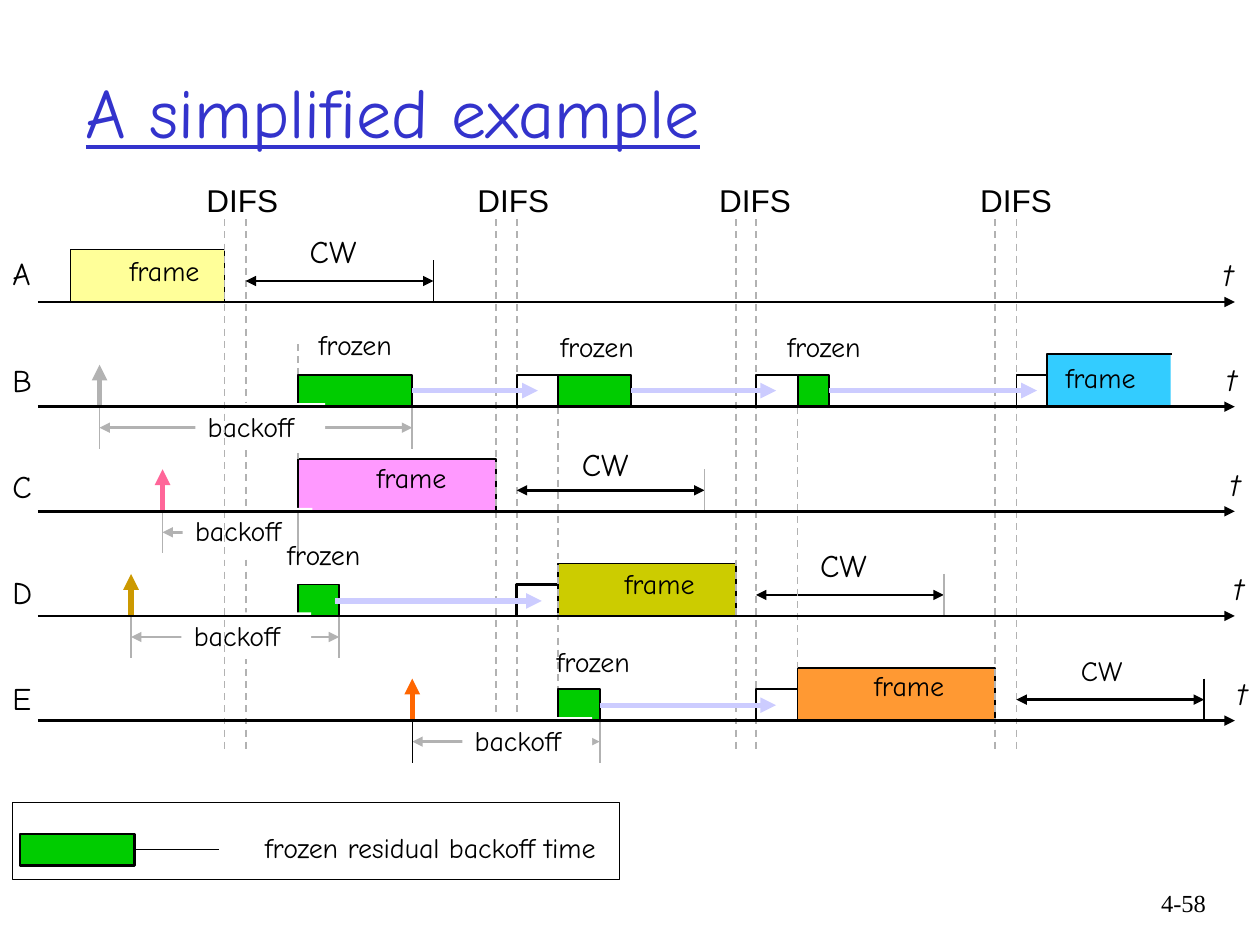
from lxml.etree import SubElement
from pptx import Presentation
from pptx.dml.color import RGBColor
from pptx.enum.dml import MSO_LINE_DASH_STYLE as DASH
from pptx.enum.shapes import MSO_CONNECTOR as CONN, MSO_SHAPE as SHAPE
from pptx.enum.text import MSO_ANCHOR as ANCHOR, PP_ALIGN as ALIGN
from pptx.oxml.ns import qn
from pptx.util import Pt

COLORS = {
    "title": "3333CC", "black": "000000", "white": "FFFFFF", "gray": "B2B2B2",
    "green": "00CC00", "lavender": "CCCCFF", "yellow": "FFFF99",
    "cyan": "33CCFF", "pink": "FF99FF", "olive": "CCCC00", "orange": "FF9933",
    "rose": "FF6699", "gold": "CC9900", "red": "FF6600",
}
FONT = "Comic Neue"
STATIONS = "ABCDE"
AXIS = {name: 172.6 + 59.8 * i for i, name in enumerate(STATIONS)}
SLOT_H, FRAME_H, TICK_H = 18, 30, 24

# Moments on the time axis
DIFS = [(128.3, 140.4), (283.5, 295.3), (420.5, 432), (568.8, 580.8)]
CW_W = 107.3
D_DONE, B_DONE = 193.8, 235.6
C_SENDS, D_SENDS, E_SENDS, B_SENDS = 170.1, 319, 455.8, 598.3


def rgb(name):
    return RGBColor.from_string(COLORS[name])


def add_label(s, text, x, y, w, h, size=16, font=FONT, color="black",
              italic=False, align=ALIGN.LEFT, fill=None):
    sp = s.shapes.add_textbox(Pt(x), Pt(y), Pt(w), Pt(h))
    if fill:
        sp.fill.solid()
        sp.fill.fore_color.rgb = rgb(fill)
    tf = sp.text_frame
    tf.word_wrap = False
    p = tf.paragraphs[0]
    p.alignment = align
    r = p.add_run()
    r.text = text
    r.font.size, r.font.name, r.font.italic = Pt(size), font, italic
    r.font.color.rgb = rgb(color)


def style_shape(sp, fill, line, width):
    sp.shadow.inherit = False
    if fill:
        sp.fill.solid()
        sp.fill.fore_color.rgb = rgb(fill)
    else:
        sp.fill.background()
    if line:
        sp.line.color.rgb = rgb(line)
        sp.line.width = Pt(width)
    else:
        sp.line.fill.background()


def add_box(s, x, y, w, h, fill=None, line="black", width=1):
    sp = s.shapes.add_shape(SHAPE.RECTANGLE, Pt(x), Pt(y), Pt(w), Pt(h))
    style_shape(sp, fill, line, width)


def add_line(s, x1, y1, x2, y2, color="black", width=1, dash=False,
             head=False, tail=False):
    cn = s.shapes.add_connector(CONN.STRAIGHT, Pt(x1), Pt(y1), Pt(x2), Pt(y2))
    cn.line.color.rgb = rgb(color)
    cn.line.width = Pt(width)
    if dash:
        cn.line.dash_style = DASH.DASH
    ln = cn.line._get_or_add_ln()
    for wanted, tag in ((head, "a:headEnd"), (tail, "a:tailEnd")):
        if wanted:
            SubElement(ln, qn(tag), type="triangle")
    SubElement(cn._element.spPr, qn("a:effectLst"))


def add_dash(s, x, y1=125.3, y2=429.8):
    add_line(s, x, y1, x, y2, "gray", dash=True)


def add_tick(s, x, y, color="gray"):
    add_line(s, x, y, x, y + TICK_H, color, 1 if color == "gray" else 0.75)


def add_slot(s, station, x1, x2, fill, width=1):
    add_box(s, x1, AXIS[station] - SLOT_H, x2 - x1, SLOT_H, fill, width=width)


def add_title(s):
    sp = s.shapes.title
    sp.left, sp.top, sp.width, sp.height = Pt(41.8), Pt(18), Pt(612), Pt(90)
    tf = sp.text_frame
    tf.word_wrap = True
    tf.vertical_anchor = ANCHOR.MIDDLE
    p = tf.paragraphs[0]
    p.alignment = ALIGN.LEFT
    r = p.add_run()
    r.text = "A simplified example"
    r.font.size, r.font.name, r.font.underline = Pt(40), FONT, True
    r.font.color.rgb = rgb("title")


def add_frames(s):
    frames = [("A", 40.3, DIFS[0][0], "yellow", 67, 141.1),
              ("B", B_SENDS, 668.9, "cyan", 601.9, 202.3),
              ("C", C_SENDS, DIFS[1][0], "pink", 208.1, 259.9),
              ("D", D_SENDS, DIFS[2][0], "olive", 349.9, 320.4),
              ("E", E_SENDS, DIFS[3][0], "orange", 492.5, 378.7)]
    for station, x1, x2, fill, _, _ in frames:
        add_box(s, x1, AXIS[station] - FRAME_H, x2 - x1, FRAME_H, fill,
                None if station == "B" else "black")
    # DIFS boundaries run over the frame edges
    for start, end in DIFS:
        if start != DIFS[0][0]:
            add_dash(s, start)
        add_dash(s, end)
    # The last frame is still open on the right
    base = AXIS["B"]
    fb = s.shapes.build_freeform(Pt(B_SENDS), Pt(base))
    fb.add_line_segments([(Pt(B_SENDS), Pt(base - FRAME_H)),
                          (Pt(669.6), Pt(base - FRAME_H))], close=False)
    style_shape(fb.convert_to_shape(), None, "black", 0.75)
    for *_, x, y in frames:
        add_label(s, "frame", x, y, 60.5, 26.6)


def add_contention_windows(s):
    windows = [("A", DIFS[0][1], 169.9, 128.9, 18, "black"),
               ("C", DIFS[1][1], 325.4, 250.6, 18, "gray"),
               ("D", DIFS[2][1], 461.5, 308.2, 18, "gray"),
               ("E", DIFS[3][1], 610.6, 370.1, 16, "black")]
    for station, x, label_x, label_y, size, tick in windows:
        y = AXIS[station] - TICK_H / 2
        add_line(s, x, y, x + CW_W, y, width=1.5, head=True, tail=True)
        add_tick(s, x + CW_W, AXIS[station] - TICK_H, tick)
        add_label(s, "CW", label_x, label_y, 44.6 if size == 18 else 41, 28.8, size)


def add_slots(s):
    add_slot(s, "D", DIFS[1][1], D_SENDS, "white", 1.5)
    add_slot(s, "D", C_SENDS, D_DONE, "green")
    add_slot(s, "B", DIFS[3][1], B_SENDS, "white")
    add_dash(s, E_SENDS, AXIS["B"], AXIS["E"] - FRAME_H)
    add_slot(s, "B", E_SENDS, 473.8, "green")
    add_slot(s, "B", DIFS[2][1], E_SENDS, "white")
    add_dash(s, D_SENDS, AXIS["B"], AXIS["E"] - SLOT_H)
    add_dash(s, C_SENDS, 196.6, AXIS["C"] - FRAME_H)
    add_slot(s, "B", DIFS[1][1], D_SENDS, "white")
    add_slot(s, "B", D_SENDS, 360.7, "green")
    add_slot(s, "B", C_SENDS, B_DONE, "green")
    add_slot(s, "E", D_SENDS, 342.7, "green")
    add_slot(s, "E", DIFS[2][1], E_SENDS, None)


def add_backoffs(s):
    backoffs = [("B", 56.9, B_DONE, 111.6, "gray"),
                ("C", 92.9, C_SENDS, 104.4, "rose"),
                ("D", 74.9, D_DONE, 103.7, "gold"),
                ("E", B_DONE, 342.7, 264.2, "red")]
    for station, x1, x2, label_x, color in backoffs:
        base = AXIS[station]
        # Arrival, then span of the backoff time
        add_line(s, x1, base, x1, base - TICK_H, color, 3, tail=True)
        add_line(s, x1, base + 12, x2, base + 12, "gray", 1.5, head=True, tail=True)
        add_label(s, "backoff", label_x, base - 2, 74.2, 26.6, fill="white")
        add_tick(s, x1, base, "black" if station == "E" else "gray")
        add_tick(s, x2, base)


def add_countdowns(s):
    for station, x1, x2, rise in [("E", 342.7, 443.5, 8.8), ("D", 191.5, 309.6, 8.6),
                                  ("B", B_DONE, 307.4, 9.2), ("B", 360.7, 443.5, 9.2),
                                  ("B", 473.8, 592.6, 9.2)]:
        y = AXIS[station] - rise
        add_line(s, x1, y, x2, y, "lavender", 3, tail=True)


def add_legend(s):
    add_box(s, 11.5, 476.6, 65.5, 18, "green", width=1.5)
    add_line(s, 77.8, 485.3, 125.3, 485.3, width=0.75)
    add_box(s, 7.2, 458.6, 347, 43.9, width=0.75)
    add_label(s, "frozen residual backoff time", 144.3, 471, 203.5, 26.6)


def add_axes(s):
    for i, station in enumerate(STATIONS):
        base = AXIS[station]
        add_label(s, station, 0, 141.8 + 60.7 * i, 27, 28.8, 18)
        add_label(s, "t", 691.9 + 2 * i, base - 30.2, 23, 28.8, 18, italic=True)
        add_line(s, 21.6, base, 705.6, base, width=1.5, tail=True)


def main():
    prs = Presentation()
    prs.slide_width, prs.slide_height = Pt(720), Pt(540)
    s = prs.slides.add_slide(prs.slide_layouts[5])
    add_title(s)
    add_label(s, "4-58", 643, 504, 53.3, 36, 14, "Times New Roman", align=ALIGN.RIGHT)
    add_frames(s)
    for x in (110.9, 265.7, 403.9, 553):
        add_label(s, "DIFS", x, 100.1, 61.2, 28.8, 18, "Arial")
    add_contention_windows(s)
    add_slots(s)
    add_backoffs(s)
    add_countdowns(s)
    add_dash(s, DIFS[0][0])
    add_legend(s)
    for x, y in [(175, 183.6), (157, 303.8), (311, 365), (442.8, 185), (313.2, 185)]:
        add_label(s, "frozen", x, y, 64.8, 26.6)
    add_axes(s)
    prs.save("out.pptx")


if __name__ == "__main__":
    main()
